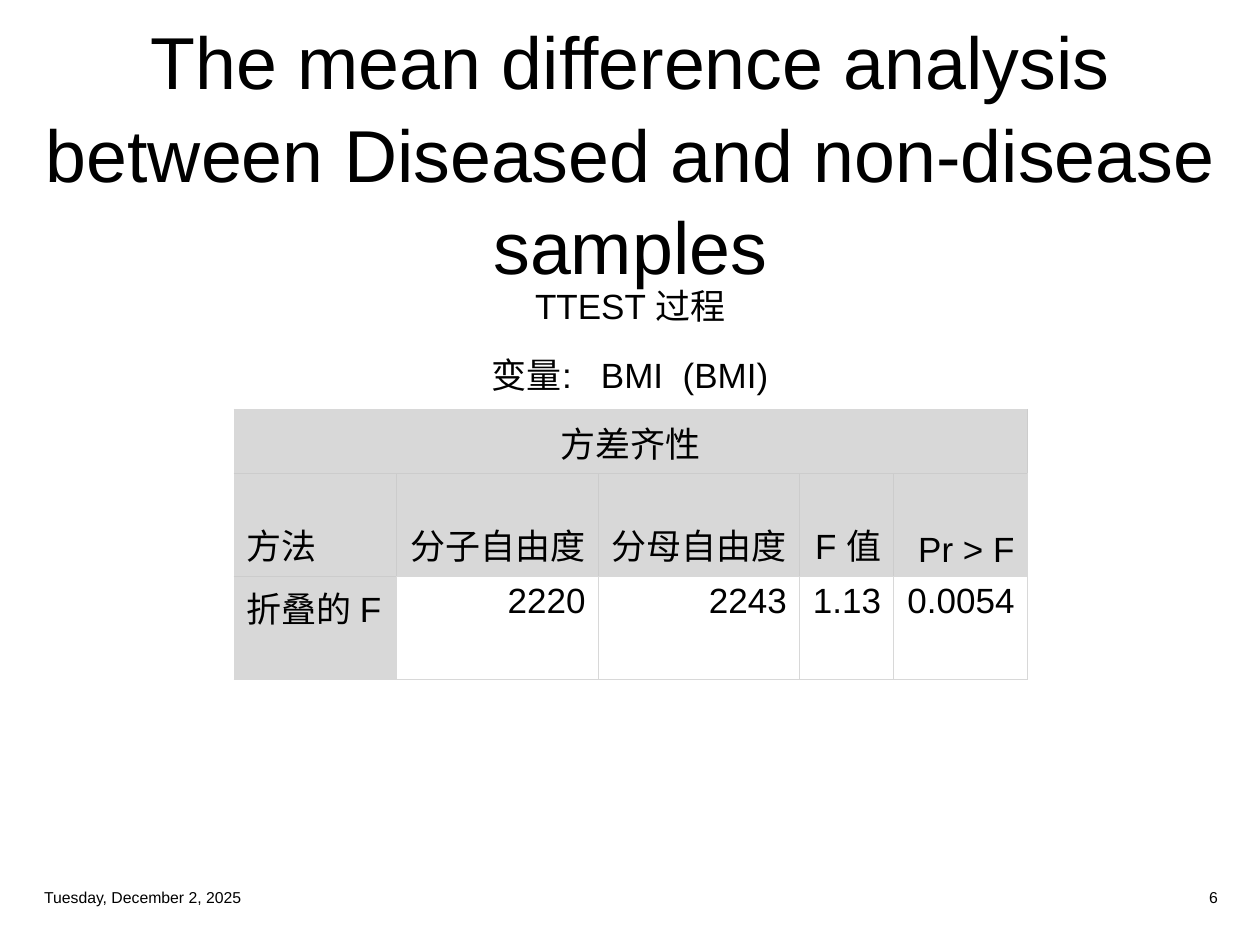
from lxml import etree
from pptx import Presentation
from pptx import util as u
from pptx.dml.color import RGBColor
from pptx.enum import text
from pptx.oxml.ns import qn

COLORS = {"ink": "000000", "head": "D8D8D8", "rule": "CCCCCC"}
FONT = "Arial"
LEFT, CENTER, RIGHT = text.PP_ALIGN.LEFT, text.PP_ALIGN.CENTER, text.PP_ALIGN.RIGHT
TOP, MIDDLE, BOTTOM = text.MSO_ANCHOR.TOP, text.MSO_ANCHOR.MIDDLE, text.MSO_ANCHOR.BOTTOM


def write(tf, content, size=20, align=LEFT, spacing=None):
    tf.word_wrap = True
    p = tf.paragraphs[0]
    p.alignment = align
    if spacing:
        p.line_spacing = spacing
    for i, line in enumerate(content.split("\n")):
        if i:
            p.add_line_break()
        r = p.add_run()
        r.text = line
        r.font.size = u.Pt(size)
        r.font.name = FONT
        r.font.color.rgb = RGBColor.from_string(COLORS["ink"])


class Deck:
    def __init__(self, prs):
        self.s = prs.slides.add_slide(prs.slide_layouts[6])

    def box(self, content, x, y, w, h, anchor=TOP, **fmt):
        sp = self.s.shapes.add_textbox(u.Cm(x), u.Cm(y), u.Cm(w), u.Cm(h))
        sp.text_frame.vertical_anchor = anchor
        write(sp.text_frame, content, **fmt)

    def border(self, cell, colors):
        tc_pr = cell._tc.get_or_add_tcPr()
        for i, (side, color) in enumerate(zip("LRTB", colors)):
            ln = etree.Element(qn(f"a:ln{side}"), w=str(u.Pt(0.5)))
            fill = etree.SubElement(ln, qn("a:solidFill"))
            etree.SubElement(fill, qn("a:srgbClr"), val=COLORS[color])
            tc_pr.insert(i, ln)

    def table(self, rows, x, y, widths, heights):
        last_row, last_col = len(heights) - 1, len(widths) - 1
        frame = self.s.shapes.add_table(
            len(heights), len(widths), u.Cm(x), u.Cm(y),
            u.Cm(sum(widths)), u.Cm(sum(heights)))
        tbl = frame.table
        tbl.first_row = tbl.horz_banding = False
        for col, w in zip(tbl.columns, widths):
            col.width = u.Cm(w)
        for row, h in zip(tbl.rows, heights):
            row.height = u.Cm(h)
        tbl.cell(0, 0).merge(tbl.cell(0, last_col))
        for i, row in enumerate(rows):
            for j in range(len(widths)):
                cell = tbl.cell(i, j)
                head = i < last_row or j == 0
                if head:
                    cell.fill.solid()
                    cell.fill.fore_color.rgb = RGBColor.from_string(COLORS["head"])
                else:
                    cell.fill.background()
                outer = (j == 0, i > 0 and j == last_col, i == 0, i == last_row)
                self.border(cell, ["head" if edge or not head else "rule" for edge in outer])
                cell.vertical_anchor = BOTTOM if i < last_row else TOP
                if j < len(row):
                    align = CENTER if i == 0 else RIGHT if j else LEFT
                    write(cell.text_frame, row[j], align=align)


def main():
    prs = Presentation()
    prs.slide_width, prs.slide_height = u.Cm(25.4), u.Cm(19.05)
    deck = Deck(prs)
    deck.box("The mean difference analysis\nbetween Diseased and non-disease\nsamples",
             0.64, 0.64, 24.13, 4.8, anchor=MIDDLE, size=42, align=CENTER, spacing=1.05)
    for y, line in ((5.61, "TTEST 过程"), (7.01, "变量:   BMI  (BMI)")):
        deck.box(line, 0.64, y, 24.13, 1.07, align=CENTER)
    deck.table(
        [["方差齐性"],
         ["方法", "分子自由度", "分母自由度", "F 值", "Pr > F"],
         ["折叠的 F", "2220", "2243", "1.13", "0.0054"]],
        4.72, 8.25, [3.28, 4.06, 4.06, 1.9, 2.69], [1.3, 2.06, 2.08])
    for x, label, align in ((0.64, "Tuesday, December 2, 2025", LEFT), (18.75, "6", RIGHT)):
        deck.box(label, x, 17.75, 6.05, 0.66, anchor=MIDDLE, size=9, align=align)
    prs.save("out.pptx")


if __name__ == "__main__":
    main()
